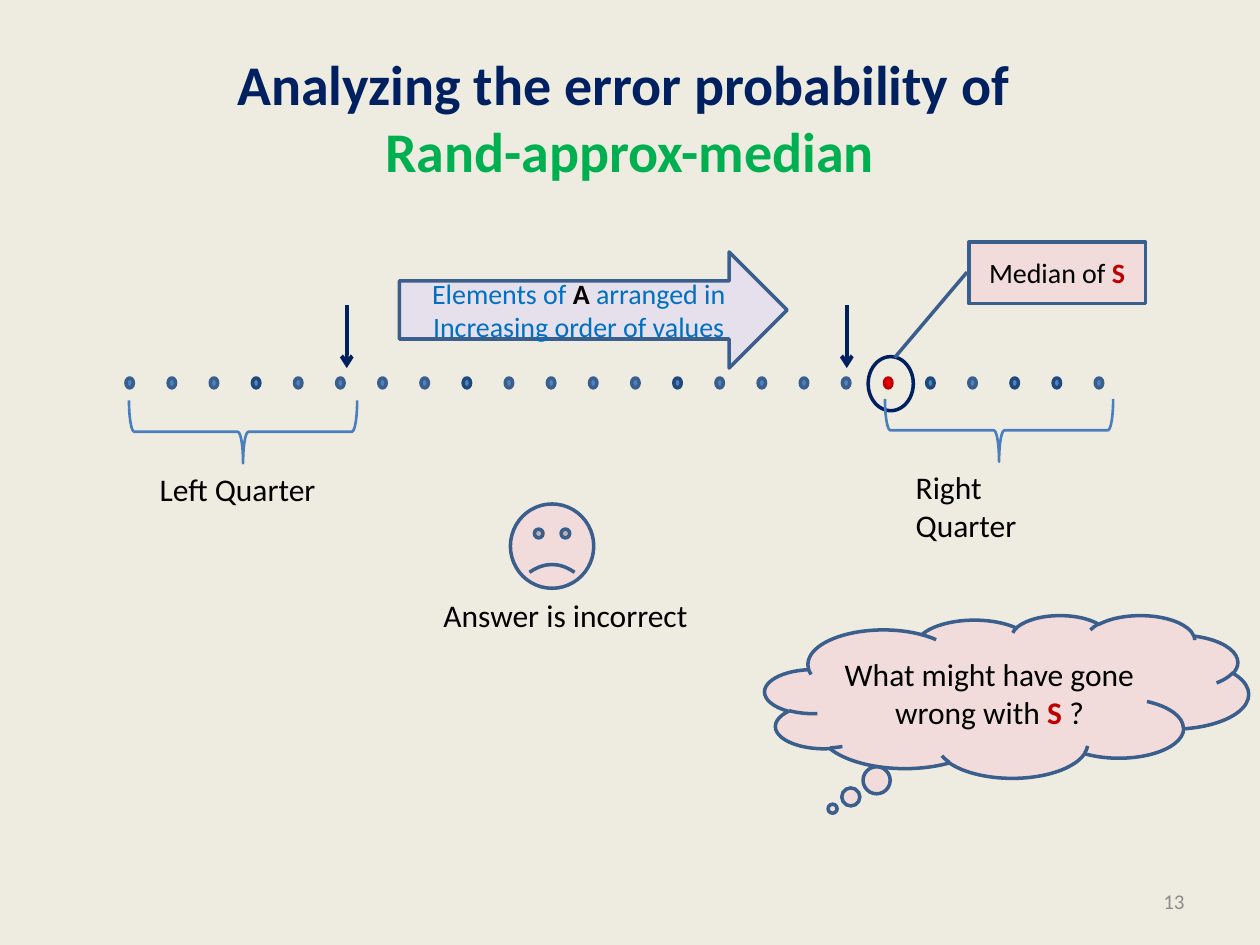
from dataclasses import dataclass

from lxml.etree import SubElement
from pptx import Presentation
from pptx.dml.color import RGBColor
from pptx.enum.shapes import MSO_CONNECTOR, MSO_SHAPE
from pptx.enum.text import MSO_ANCHOR, PP_ALIGN
from pptx.oxml.ns import qn
from pptx.util import Cm, Pt


@dataclass(frozen=True)
class Theme:
    font: str = "Calibri"
    background: str = "EEECE1"
    navy: str = "002060"
    green: str = "00B050"
    black: str = "000000"
    grey: str = "8C8C8C"
    blue: str = "0070C0"
    red: str = "C00000"
    bright_red: str = "FF0000"
    dot: str = "4F81BD"
    outline: str = "3A5F8C"
    dark_outline: str = "1F497D"
    brace: str = "4B7EBC"
    lilac: str = "E6E0EC"
    pink: str = "F2DCDB"
    title_size: float = 32
    body_size: float = 18
    label_size: float = 16
    number_size: float = 12


@dataclass(frozen=True)
class Box:
    left: float
    top: float
    width: float
    height: float

    def inner(self, left, top, width, height):
        return Box(self.left + left, self.top + top, width, height)

    def lengths(self):
        return Cm(self.left), Cm(self.top), Cm(self.width), Cm(self.height)


THEME = Theme()


def add_span(para, text, size=THEME.body_size, color=THEME.black, bold=False):
    span = para.add_run()
    span.text = text
    span.font.name = THEME.font
    span.font.size = Pt(size)
    span.font.bold = bold
    span.font.color.rgb = RGBColor.from_string(color)


def add_figure(page, kind, box, fill=None, line=THEME.outline, weight=2, adjust=()):
    figure = page.shapes.add_shape(kind, *box.lengths())
    figure.shadow.inherit = False
    if fill:
        figure.fill.solid()
        figure.fill.fore_color.rgb = RGBColor.from_string(fill)
    else:
        figure.fill.background()
    figure.line.color.rgb = RGBColor.from_string(line)
    figure.line.width = Pt(weight)
    for index, value in enumerate(adjust):
        figure.adjustments[index] = value
    return figure


def centred_para(figure):
    frame = figure.text_frame
    frame.word_wrap = True
    frame.vertical_anchor = MSO_ANCHOR.MIDDLE
    para = frame.paragraphs[0]
    para.alignment = PP_ALIGN.CENTER
    return para


def add_label(page, box, text):
    label = page.shapes.add_textbox(*box.lengths())
    label.text_frame.word_wrap = False
    add_span(label.text_frame.paragraphs[0], text)


def place_title(page, box):
    title = page.shapes.title
    title.left, title.top, title.width, title.height = box.lengths()
    para = centred_para(title)
    add_span(para, "Analyzing the error probability of ",
             size=THEME.title_size, color=THEME.navy, bold=True)
    para.add_line_break()
    add_span(para, "Rand-approx-median",
             size=THEME.title_size, color=THEME.green, bold=True)


def place_page_number(page, box):
    number = page.shapes.add_textbox(*box.lengths())
    number.text_frame.vertical_anchor = MSO_ANCHOR.MIDDLE
    number.text_frame.word_wrap = True
    para = number.text_frame.paragraphs[0]
    para.alignment = PP_ALIGN.RIGHT
    add_span(para, "13", size=THEME.number_size, color=THEME.grey)


def place_elements(page, box, count=24, median=18, sampled=(3, 8, 13, 19, 21, 22)):
    dot_width = 0.15
    pitch = (box.width - dot_width) / (count - 1)
    for index in range(count):
        fill, line = THEME.dot, THEME.outline
        if index == median:
            fill, line = THEME.bright_red, THEME.red
        elif index in sampled:
            line = THEME.dark_outline
        dot = box.inner(index * pitch, 0, dot_width, box.height)
        add_figure(page, MSO_SHAPE.OVAL, dot, fill=fill, line=line)
    ring = box.inner(median * pitch - 0.33, -0.43, 0.91, 1.09)
    add_figure(page, MSO_SHAPE.OVAL, ring, line=THEME.navy)


def place_marker(page, box):
    marker = page.shapes.add_connector(
        MSO_CONNECTOR.STRAIGHT, Cm(box.left), Cm(box.top),
        Cm(box.left), Cm(box.top + box.height))
    marker.line.color.rgb = RGBColor.from_string(THEME.navy)
    marker.line.width = Pt(2.25)
    SubElement(marker.line._get_or_add_ln(), qn("a:tailEnd"), type="arrow")
    SubElement(marker._element.spPr, qn("a:effectLst"))


def place_quarter(page, box, text):
    length, depth = box.width, 1.27
    shift = (length - depth) / 2
    upright = box.inner(shift, -shift, depth, length)
    brace = add_figure(page, MSO_SHAPE.RIGHT_BRACE, upright,
                       line=THEME.brace, weight=1.5)
    brace.rotation = 90
    add_label(page, box.inner(0.37, 1.28, length - 0.74, 1.02), text)


def place_order_arrow(page, box):
    arrow = add_figure(page, MSO_SHAPE.RIGHT_ARROW, box, fill=THEME.lilac)
    para = centred_para(arrow)
    size = THEME.label_size
    add_span(para, "Elements of ", size=size, color=THEME.blue)
    add_span(para, "A", size=size, bold=True)
    add_span(para, " arranged in Increasing order of values", size=size, color=THEME.blue)


def place_median_callout(page, box):
    callout = add_figure(page, MSO_SHAPE.LINE_CALLOUT_1, box, fill=THEME.pink,
                         adjust=(0.49, -0.01, 1.88, -0.42))
    para = centred_para(callout)
    add_span(para, "Median of ", size=THEME.label_size)
    add_span(para, "S", size=THEME.label_size, color=THEME.red, bold=True)


def place_verdict(page, box):
    face = box.inner(1.6, 0, 1.68, 1.7)
    add_figure(page, MSO_SHAPE.SMILEY_FACE, face, fill=THEME.pink, adjust=(-0.05,))
    add_label(page, box.inner(0, 1.73, box.width, 1.02), "Answer is incorrect")


def place_question(page, box):
    cloud = add_figure(page, MSO_SHAPE.CLOUD_CALLOUT, box, fill=THEME.pink,
                       adjust=(-0.36, 0.69))
    para = centred_para(cloud)
    add_span(para, "What might have gone wrong with ")
    add_span(para, "S ", color=THEME.red, bold=True)
    add_span(para, "?")


def main():
    deck = Presentation()
    deck.slide_width, deck.slide_height = Cm(25.4), Cm(19.05)
    page = deck.slides.add_slide(deck.slide_layouts[5])
    page.background.fill.solid()
    page.background.fill.fore_color.rgb = RGBColor.from_string(THEME.background)

    place_title(page, Box(1.27, 0.76, 22.86, 3.18))
    place_page_number(page, Box(18.21, 17.65, 5.92, 1.02))
    place_elements(page, Box(2.54, 7.62, 19.69, 0.2))
    for left in (6.99, 17.07):
        place_marker(page, Box(left, 6.15, 0, 1.27))
    place_quarter(page, Box(2.6, 8.07, 4.6, 2.3), "Left Quarter")
    place_quarter(page, Box(17.84, 8.04, 4.6, 2.3), "Right Quarter")
    place_order_arrow(page, Box(8.05, 5.08, 7.82, 2.34))
    place_median_callout(page, Box(19.53, 4.88, 3.56, 1.24))
    place_verdict(page, Box(8.69, 10.16, 5.49, 2.75))
    place_question(page, Box(15.42, 12.4, 9.75, 3.28))
    deck.save("out.pptx")


if __name__ == "__main__":
    main()
